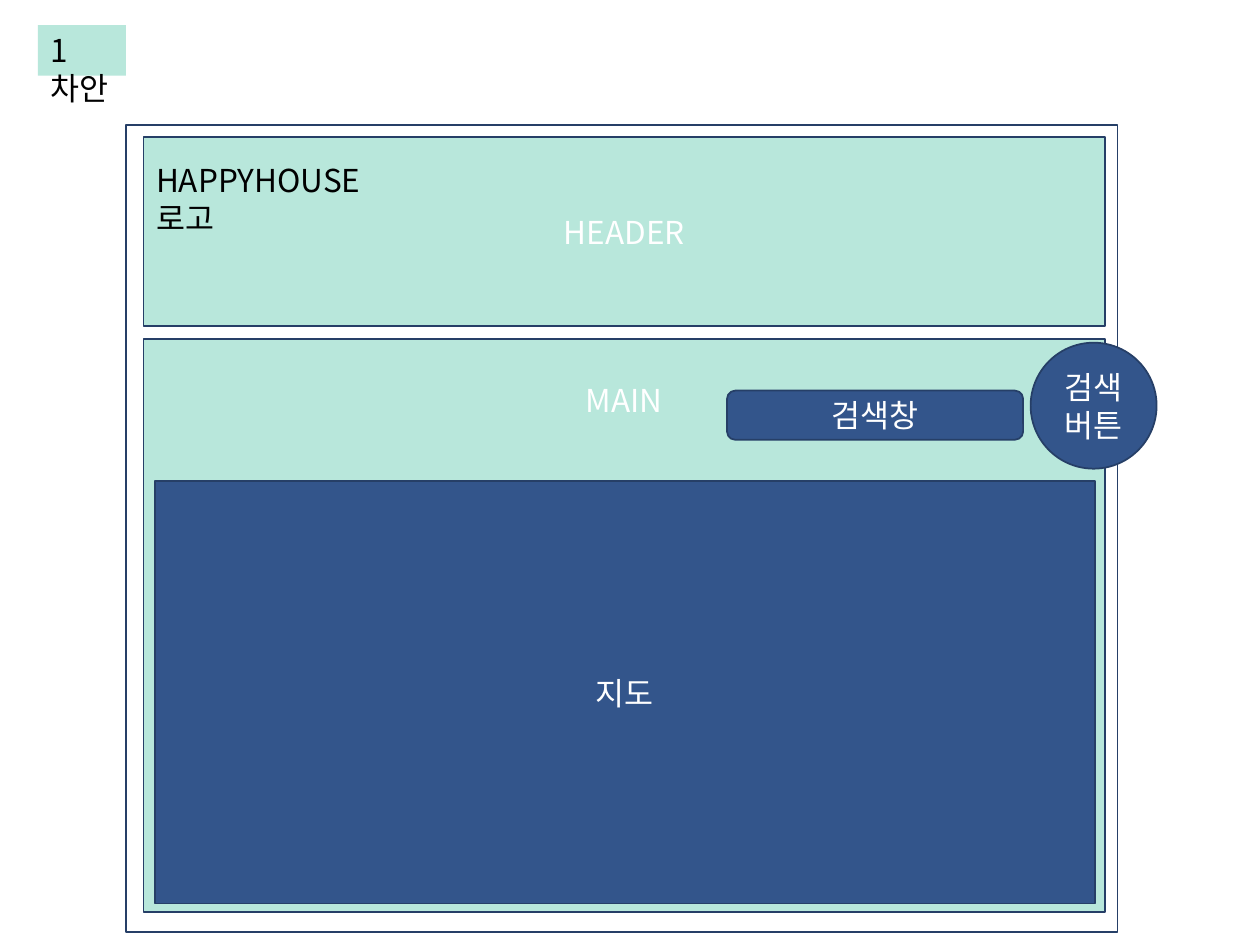
import pptx
import pptx.dml.color
import pptx.enum.shapes
import pptx.enum.text
import pptx.oxml
import pptx.oxml.ns
import pptx.util
from pptx.util import Inches

FONT = "Noto Sans CJK KR"
WHITE, BLACK = "FFFFFF", "000000"
MINT, BLUE, NAVY = "B8E7DB", "33558B", "263F67"

SHAPE = pptx.enum.shapes.MSO_SHAPE
ALIGN = pptx.enum.text.PP_ALIGN
ANCHOR = pptx.enum.text.MSO_ANCHOR


def rgb(value):
    return pptx.dml.color.RGBColor.from_string(value)


def write_text(box, text, color, align, anchor):
    frame = box.text_frame
    frame.word_wrap = True
    frame.auto_size = pptx.enum.text.MSO_AUTO_SIZE.NONE
    frame.vertical_anchor = anchor
    para = frame.paragraphs[0]
    para.alignment = align
    span = para.add_run()
    span.text = text
    span.font.size = pptx.util.Pt(18)
    span.font.name = FONT
    span.font.color.rgb = rgb(color)
    east_asian = pptx.oxml.parse_xml(
        f'<a:ea {pptx.oxml.ns.nsdecls("a")} typeface="{FONT}"/>')
    span.font._element.append(east_asian)


def add_panel(page, kind, bounds, fill, text="", anchor=ANCHOR.MIDDLE):
    """Add an outlined shape with centred white text."""
    panel = page.shapes.add_shape(kind, *map(Inches, bounds))
    panel.shadow.inherit = False
    panel.fill.solid()
    panel.fill.fore_color.rgb = rgb(fill)
    panel.line.color.rgb = rgb(NAVY)
    panel.line.width = pptx.util.Pt(1)
    if text:
        write_text(panel, text, WHITE, ALIGN.CENTER, anchor)
    return panel


def add_label(page, bounds, text, fill=None):
    label = page.shapes.add_textbox(*map(Inches, bounds))
    if fill:
        label.fill.solid()
        label.fill.fore_color.rgb = rgb(fill)
    write_text(label, text, BLACK, ALIGN.LEFT, ANCHOR.TOP)


def main():
    deck = pptx.Presentation()
    deck.slide_width, deck.slide_height = Inches(10), Inches(7.5)
    page = deck.slides.add_slide(deck.slide_layouts[6])

    add_panel(page, SHAPE.RECTANGLE, (1, 0.99, 7.87, 6.41), WHITE)
    add_panel(page, SHAPE.RECTANGLE, (1.14, 1.09, 7.63, 1.5), MINT, "HEADER")
    add_label(page, (0.3, 0.2, 0.7, 0.4), "1차안", MINT)
    add_label(page, (1.14, 1.23, 1.95, 0.4), "HAPPYHOUSE 로고")
    main_area = add_panel(page, SHAPE.RECTANGLE, (1.14, 2.69, 7.63, 4.55),
                          MINT, "MAIN", ANCHOR.TOP)
    main_area.text_frame.margin_top = Inches(0.33)
    add_panel(page, SHAPE.RECTANGLE, (1.23, 3.82, 7.46, 3.35), BLUE, "지도")
    add_panel(page, SHAPE.ROUNDED_RECTANGLE, (5.77, 3.1, 2.35, 0.39), BLUE, "검색창")
    add_panel(page, SHAPE.OVAL, (8.18, 2.72, 1, 1), BLUE, "검색버튼")

    deck.save("out.pptx")


if __name__ == "__main__":
    main()
